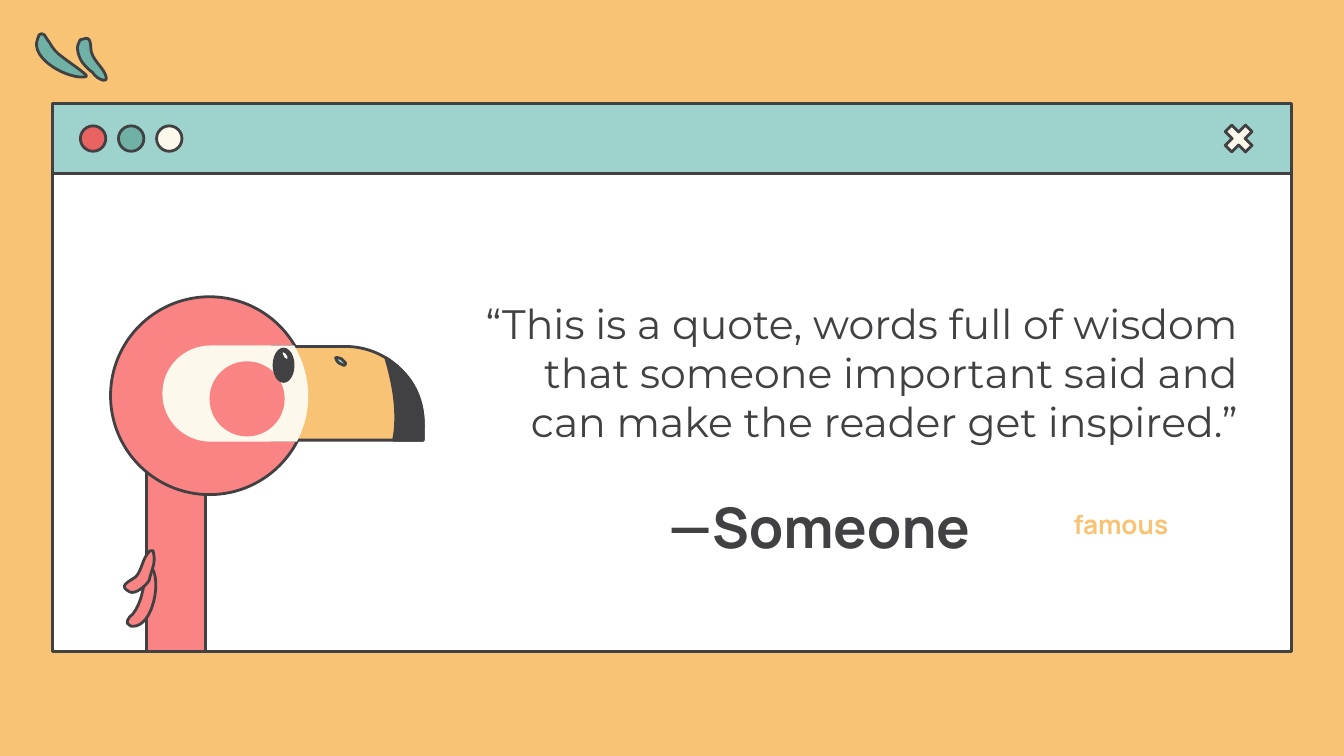
import lxml.etree
import pptx
import pptx.dml.color
import pptx.enum.shapes
import pptx.enum.text
import pptx.oxml.ns
import pptx.util

Cm = pptx.util.Cm
KIND = pptx.enum.shapes.MSO_SHAPE
ALIGN = pptx.enum.text.PP_ALIGN
MIDDLE = pptx.enum.text.MSO_ANCHOR.MIDDLE
qn = pptx.oxml.ns.qn

HUES = {
    "sand": "F9C375", "ink": "414042", "white": "FFFFFF", "mint": "9DD3CC",
    "teal": "6FB2A5", "pink": "FA8383", "red": "EA6363", "cream": "FCF8EB",
}

PAGE = (25.4, 14.29)
LEFT, WIDTH = 0.99, 23.42
BAR_TOP, BAR_HIGH, BODY_HIGH = 1.96, 1.32, 9.03
BODY_TOP = BAR_TOP + BAR_HIGH
MID = BAR_TOP + BAR_HIGH / 2

QUOTE = {
    "text": "“This is a quote, words full of wisdom that someone important "
            "said and can make the reader get inspired.”",
    "align": ALIGN.RIGHT,
    "pads": {"left": 8, "top": 0.25, "right": 1.02, "bottom": 1.77},
    "font": {"name": "Montserrat", "size": pptx.util.Pt(22), "bold": False},
    "hue": "ink",
}
LABELS = [
    ((10.9, 9.22, 7.9, 1.47), {
        "text": "—Someone",
        "align": ALIGN.RIGHT,
        "pads": {"left": 0.25, "top": 0.25, "right": 0.47, "bottom": 0.25},
        "font": {"name": "Manrope", "size": pptx.util.Pt(30), "bold": True},
        "hue": "ink",
    }),
    ((19.05, 9.46, 4.27, 0.91), {
        "text": "famous",
        "align": ALIGN.CENTER,
        "pads": {"left": 0, "top": 0, "right": 0, "bottom": 0},
        "font": {"name": "Manrope", "size": pptx.util.Pt(14), "bold": True},
        "hue": "sand",
    }),
]

LEAVES = [
    ("teal", True, [
        (1.63, 1.45), (1.32, 1.52, 0.56, 1.12, 0.71, 0.74),
        (0.71, 0.71, 0.74, 0.69, 0.74, 0.66), (0.76, 0.63, 0.81, 0.63, 0.84, 0.66),
        (0.86, 0.71, 0.91, 0.76, 0.94, 0.81), (0.99, 0.91, 1.09, 1.02, 1.17, 1.07),
        (1.32, 1.19, 1.5, 1.3, 1.63, 1.42)]),
    ("teal", True, [
        (1.96, 1.52), (1.88, 1.5, 1.8, 1.45, 1.75, 1.37),
        (1.68, 1.32, 1.6, 1.24, 1.55, 1.17), (1.5, 1.09, 1.42, 0.91, 1.5, 0.79),
        (1.5, 0.76, 1.52, 0.74, 1.57, 0.74), (1.75, 0.66, 1.7, 0.91, 1.73, 0.99),
        (1.78, 1.17, 1.98, 1.3, 2.01, 1.47), (2.01, 1.5, 2.01, 1.52, 1.96, 1.52)]),
]
BIRD = [
    ("pink", True, KIND.RECTANGLE, (2.77, 8.38, 1.12, 3.93)),
    ("pink", True, KIND.OVAL, (2.09, 5.61, 3.74, 3.74)),
    ("pink", True, [
        (2.87, 10.74), (3.05, 10.97, 2.9, 11.84, 2.51, 11.84),
        (2.49, 11.84, 2.46, 11.84, 2.44, 11.81), (2.41, 11.81, 2.39, 11.76, 2.41, 11.73),
        (2.44, 11.68, 2.46, 11.63, 2.51, 11.61), (2.59, 11.51, 2.64, 11.38, 2.67, 11.28),
        (2.72, 11.1, 2.74, 10.9, 2.84, 10.74)]),
    ("pink", True, [
        (2.87, 10.41), (2.9, 10.41, 2.9, 10.41, 2.9, 10.44),
        (2.92, 10.52, 2.92, 10.62, 2.9, 10.69), (2.87, 10.8, 2.84, 10.87, 2.82, 10.97),
        (2.77, 11.05, 2.62, 11.2, 2.49, 11.2), (2.46, 11.2, 2.44, 11.18, 2.39, 11.15),
        (2.26, 11.05, 2.49, 10.97, 2.57, 10.9), (2.69, 10.77, 2.69, 10.54, 2.84, 10.41)]),
    ("sand", True, [
        (6.53, 6.55), (7.34, 6.55, 8, 7.21, 8, 8.03), (8, 8.32), (5.13, 8.32), (5.13, 6.55)]),
    ("ink", True, [
        (7.29, 6.76), (7.72, 7.04, 8.03, 7.44, 8, 8.13), (8, 8.32), (7.44, 8.32),
        (7.54, 7.82, 7.44, 7.26, 7.29, 6.76)]),
    ("mint", True, [
        (6.38, 6.76), (6.4, 6.76, 6.43, 6.78, 6.45, 6.78),
        (6.48, 6.81, 6.5, 6.83, 6.53, 6.86), (6.53, 6.88, 6.53, 6.91, 6.5, 6.91),
        (6.48, 6.91, 6.43, 6.86, 6.4, 6.86), (6.38, 6.83, 6.35, 6.81, 6.35, 6.78),
        (6.32, 6.76, 6.35, 6.76, 6.38, 6.76)]),
    ("cream", False, [
        (5.56, 6.53), (5.89, 7.09, 5.92, 7.77, 5.61, 8.35), (3.99, 8.35),
        (3.48, 8.35, 3.07, 7.95, 3.07, 7.44), (3.07, 6.93, 3.48, 6.53, 3.99, 6.53)]),
    ("pink", False, KIND.OVAL, (3.96, 6.83, 1.42, 1.42)),
    ("ink", True, KIND.OVAL, (5.18, 6.6, 0.36, 0.61)),
    ("white", True, [
        (5.36, 6.63), (5.41, 6.65, 5.44, 6.68, 5.46, 6.73),
        (5.46, 6.76, 5.46, 6.78, 5.46, 6.81), (5.46, 6.81, 5.44, 6.81, 5.41, 6.81),
        (5.38, 6.81, 5.38, 6.78, 5.36, 6.78), (5.33, 6.73, 5.33, 6.71, 5.31, 6.68),
        (5.31, 6.65, 5.33, 6.63, 5.36, 6.63)]),
]
DOTS = ["red", "teal", "cream"]
DOT, DOT_LEFT, PITCH = 0.48, 1.52, 0.72
CROSS, CROSS_LEFT = 0.74, 23.04


def tint(name):
    return pptx.dml.color.RGBColor.from_string(HUES[name])


def paint(shape, hue, lined=True):
    shape.shadow.inherit = False
    shape.fill.solid()
    shape.fill.fore_color.rgb = tint(hue)
    if not lined:
        shape.line.fill.background()
        return
    shape.line.color.rgb = tint("ink")
    shape.line.width = pptx.util.Pt(1.5)
    edge = shape.element.spPr.find(qn("a:ln"))
    lxml.etree.SubElement(edge, qn("a:round"))


def trace(host, moves):
    spots = [(Cm(move[i]), Cm(move[i + 1])) for move in moves for i in range(0, len(move), 2)]
    pen = host.build_freeform(*spots[0])
    pen.add_line_segments(spots[1:], close=True)
    shape = pen.convert_to_shape()
    lines = iter(list(shape.element.iter(qn("a:lnTo"))))
    for move in moves[1:]:
        first = next(lines)
        if len(move) == 6:
            first.addprevious(bend := first.makeelement(qn("a:cubicBezTo")))
            for line in (first, next(lines), next(lines)):
                bend.append(line[0])
                line.getparent().remove(line)
    return shape


def stamp(host, kind, box, hue, lined=True):
    shape = host.add_shape(kind, *map(Cm, box))
    paint(shape, hue, lined)
    return shape


def draw(host, parts):
    for hue, lined, form, *box in parts:
        if box:
            stamp(host, form, box[0], hue, lined)
        else:
            paint(trace(host, form), hue, lined)


def write(shape, note):
    frame = shape.text_frame
    frame.word_wrap = True
    frame.vertical_anchor = MIDDLE
    for side, pad in note["pads"].items():
        setattr(frame, "margin_" + side, Cm(pad))
    line = frame.paragraphs[0]
    line.text = note["text"]
    line.alignment = note["align"]
    font = line.runs[0].font
    for key, value in note["font"].items():
        setattr(font, key, value)
    font.color.rgb = tint(note["hue"])


deck = pptx.Presentation()
deck.slide_width, deck.slide_height = map(Cm, PAGE)
slide = deck.slides.add_slide(deck.slide_layouts[6])
slide.background.fill.solid()
slide.background.fill.fore_color.rgb = tint("sand")
shapes = slide.shapes

draw(shapes.add_group_shape().shapes, LEAVES)
body = stamp(shapes, KIND.RECTANGLE, (LEFT, BODY_TOP, WIDTH, BODY_HIGH), "white")
write(body, QUOTE)
for box, note in LABELS:
    write(shapes.add_textbox(*map(Cm, box)), note)
draw(shapes.add_group_shape().shapes, BIRD)

stamp(shapes, KIND.RECTANGLE, (LEFT, BAR_TOP, WIDTH, BAR_HIGH), "mint")
row = shapes.add_group_shape().shapes
for place, hue in enumerate(DOTS):
    stamp(row, KIND.OVAL, (DOT_LEFT + place * PITCH, MID - DOT / 2, DOT, DOT), hue)
cross = stamp(shapes, KIND.MATH_MULTIPLY, (CROSS_LEFT, MID - CROSS / 2, CROSS, CROSS), "cream")
cross.adjustments[0] = 0.235

deck.save("out.pptx")
